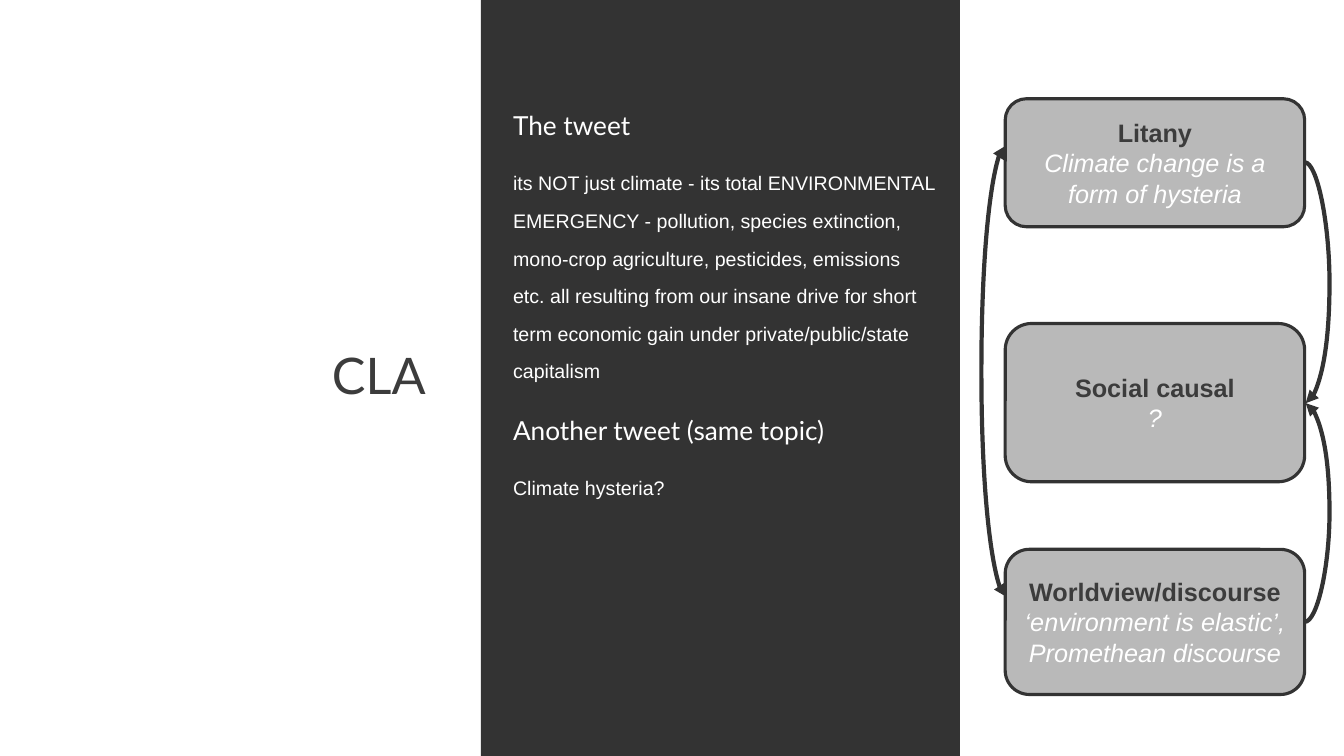
import pptx
import pptx.util
import pptx.dml.color
import pptx.enum.shapes
import pptx.enum.text
import pptx.oxml
import pptx.oxml.ns
import lxml.etree

Inches, Pt = pptx.util.Inches, pptx.util.Pt
Shape = pptx.enum.shapes.MSO_SHAPE
Align = pptx.enum.text.PP_ALIGN
Anchor = pptx.enum.text.MSO_ANCHOR
qn = pptx.oxml.ns.qn

colors = {"dark": "333333", "text": "3C3C3C", "gray": "B9B9B9", "white": "FFFFFF"}
rgb = {name: pptx.dml.color.RGBColor.from_string(code) for name, code in colors.items()}

deck = pptx.Presentation()
deck.slide_width, deck.slide_height = Inches(13.33), Inches(7.5)
slide = deck.slides.add_slide(deck.slide_layouts[6])


def style(para, text, size, face, color, align):
    para.text = text
    para.alignment = align
    para.font.size = Pt(size)
    para.font.name = face
    para.font.color.rgb = rgb[color]


# Dark middle panel
panel = slide.shapes.add_shape(Shape.RECTANGLE, Inches(4.77), 0, Inches(4.75), Inches(7.5))
panel.shadow.inherit = False
panel.fill.solid()
panel.fill.fore_color.rgb = rgb["dark"]
panel.line.fill.background()

# Title, headings and tweets
tweet = (
    "its NOT just climate - its total ENVIRONMENTAL EMERGENCY - pollution, "
    "species extinction, mono-crop agriculture, pesticides, emissions etc. "
    "all resulting from our insane drive for short term economic gain under "
    "private/public/state capitalism"
)
head = (18.7, "Lato", "white", Align.JUSTIFY, Anchor.BOTTOM, 1.0)
texts = [
    (1.02, 2.65, 3.3, 2.2, "CLA", 36, "Lato", "text", Align.RIGHT, Anchor.MIDDLE, 0.9),
    (4.99, 0.98, 3.87, 0.47, "The tweet", *head),
    (4.99, 1.51, 4.4, 1.58, tweet, 14, "Arial", "white", Align.LEFT, Anchor.TOP, 1.6),
    (4.99, 4.0, 3.87, 0.47, "Another tweet (same topic)", *head),
    (4.99, 4.53, 4.4, 1.58, "Climate hysteria?", 14, "Arial", "white",
     Align.JUSTIFY, Anchor.TOP, 1.6),
]
for left, top, width, height, text, size, face, color, align, anchor, space in texts:
    box = slide.shapes.add_textbox(Inches(left), Inches(top), Inches(width), Inches(height))
    frame = box.text_frame
    frame.word_wrap = True
    frame.vertical_anchor = anchor
    style(frame.paragraphs[0], text, size, face, color, align)
    frame.paragraphs[0].line_spacing = space

# Layer boxes
layers = [
    (0.98, 1.27, "Litany", "Climate change is a form of hysteria"),
    (3.21, 1.57, "Social causal", "?"),
    (5.45, 1.44, "Worldview/discourse", "‘environment is elastic’, Promethean discourse"),
]
for top, height, name, note in layers:
    box = slide.shapes.add_shape(
        Shape.ROUNDED_RECTANGLE, Inches(9.97), Inches(top), Inches(2.97), Inches(height))
    box.shadow.inherit = False
    box.fill.solid()
    box.fill.fore_color.rgb = rgb["gray"]
    box.line.color.rgb = rgb["dark"]
    box.line.width = Pt(2.25)
    frame = box.text_frame
    frame.word_wrap = True
    frame.vertical_anchor = Anchor.MIDDLE
    label, quote = frame.paragraphs[0], frame.add_paragraph()
    style(label, name, 18, "Arial", "text", Align.CENTER)
    label.font.bold = True
    style(quote, note, 18, "Arial", "white", Align.CENTER)
    quote.font.italic = True

# Curved arrows, bulging 0.25 inch beyond the boxes
arrows = [
    (9.98, 5.92, 9.97, 1.45, ["headEnd", "tailEnd"]),
    (12.94, 1.61, 12.95, 4.0, ["tailEnd"]),
    (12.94, 6.17, 12.95, 4.0, ["tailEnd"]),
]
for x1, y1, x2, y2, ends in arrows:
    link = slide.shapes.add_connector(
        pptx.enum.shapes.MSO_CONNECTOR.CURVE, Inches(x1), Inches(y1), Inches(x2), Inches(y2))
    link.line.color.rgb = rgb["dark"]
    link.line.width = Pt(3)
    props = link._element.spPr
    for end in ends:
        lxml.etree.SubElement(link.line._get_or_add_ln(), qn("a:" + end), type="triangle")
    lxml.etree.SubElement(props, qn("a:effectLst"))
    guides = props.find(qn("a:prstGeom")).get_or_add_avLst()
    lxml.etree.SubElement(guides, qn("a:gd"), name="adj1", fmla="val 2500000")

deck.save("out.pptx")
